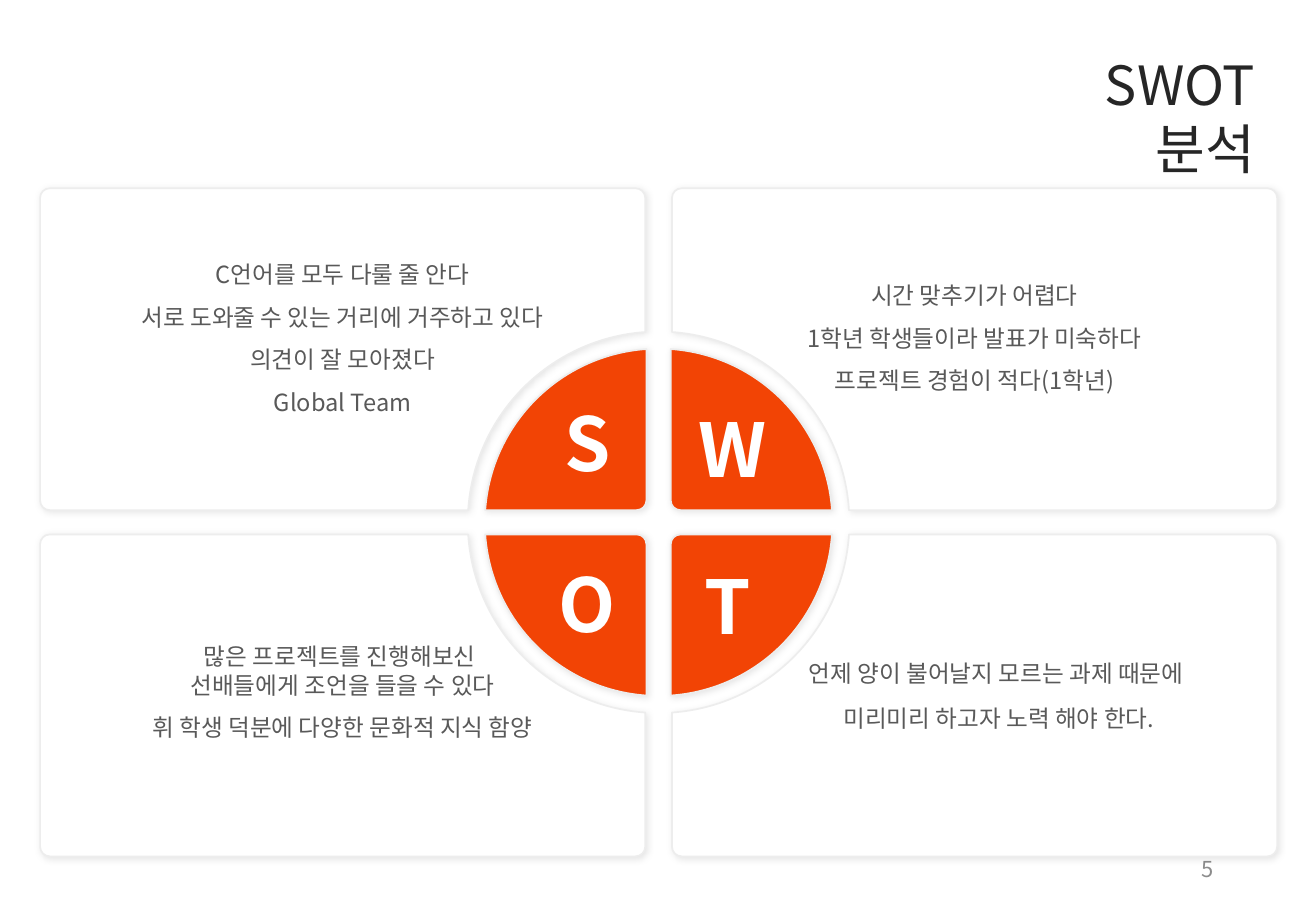
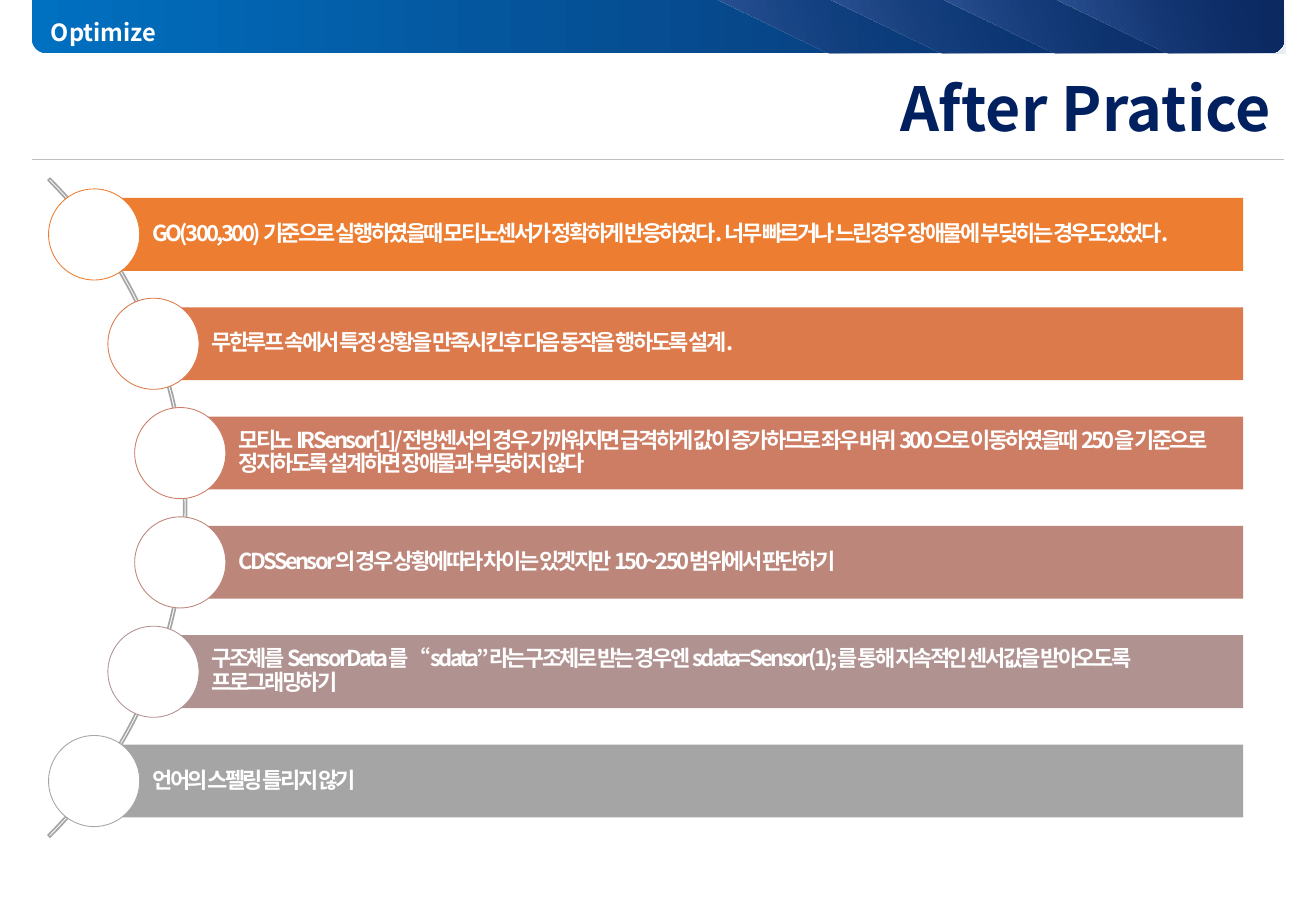
from math import acos, asin, cos, pi, sin, sqrt, tan

from lxml.etree import SubElement
from pptx import Presentation
from pptx.dml.color import RGBColor
from pptx.enum.shapes import MSO_CONNECTOR, MSO_SHAPE
from pptx.enum.text import MSO_ANCHOR, MSO_AUTO_SIZE, PP_ALIGN
from pptx.oxml.ns import qn
from pptx.util import Inches, Pt

FONT = "Noto Sans CJK KR"
WHITE = RGBColor(0xFF, 0xFF, 0xFF)
BLACK = RGBColor(0x26, 0x26, 0x26)
BODY = RGBColor(0x59, 0x59, 0x59)
PAGE = RGBColor(0x8C, 0x8C, 0x8C)
EDGE = RGBColor(0xED, 0xED, 0xED)
ORANGE = RGBColor(0xF2, 0x44, 0x05)
NAVY = RGBColor(0x00, 0x20, 0x60)
BAND_START = RGBColor(0x00, 0x70, 0xC0)
BAND_END = RGBColor(0x0C, 0x29, 0x62)
RAY = RGBColor(0x2F, 0x55, 0x97)
RULE = RGBColor(0xBF, 0xBF, 0xBF)
GRAY = RGBColor(0xA5, 0xA5, 0xA5)

WIDTH, HEIGHT = 10.83, 7.5

QUADRANTS = [
    dict(side=-1, level=-1, letter="S", letter_at=(4.56, 3.22, 0.55, 0.84),
         insets=(0.1, 0.05, 0.1, 0.35), after=0,
         lines=[("C언어를 모두 다룰 줄 안다", 1.5),
                ("서로 도와줄 수 있는 거리에 거주하고 있다", 1.5),
                ("의견이 잘 모아졌다", 1.5),
                ("Global Team", 1.5)]),
    dict(side=1, level=-1, letter="W", letter_at=(5.62, 3.27, 0.82, 0.84),
         insets=(0.1, 0.05, 0.1, 0.35), after=0,
         lines=[("시간 맞추기가 어렵다", 1.5),
                ("1학년 학생들이라 발표가 미숙하다", 1.5),
                ("프로젝트 경험이 적다(1학년)", 1.5)]),
    dict(side=-1, level=1, letter="O", letter_at=(4.49, 4.55, 0.68, 0.84),
         insets=(0.1, 0.29, 0.1, 0.35), after=0,
         lines=[("많은 프로젝트를 진행해보신 ", 1),
                ("선배들에게 조언을 들을 수 있다", 1),
                ("휘 학생 덕분에 다양한 문화적 지식 함양", 1.5)]),
    dict(side=1, level=1, letter="T", letter_at=(5.71, 4.56, 0.56, 0.84),
         insets=(0.5, 0.05, 0.1, 0.05), after=10,
         lines=[("언제 양이 불어날지 모르는 과제 때문에 ", 1),
                ("미리미리 하고자 노력 해야 한다.", 1)]),
]

LESSONS = [
    ("GO(300,300) 기준으로 실행하였을때 모티노센서가 정확하게 반응하였다. "
     "너무 빠르거나 느린경우 장애물에 부딪히는 경우도있었다.", RGBColor(0xED, 0x7D, 0x31)),
    ("무한루프 속에서 특정 상황을 만족시킨후 다음 동작을 행하도록 설계.",
     RGBColor(0xDC, 0x7A, 0x4B)),
    ("모티노 IRSensor[1]/전방센서의 경우 가까워지면 급격하게 값이 증가하므로 좌우 바퀴 "
     "300으로 이동하였을때 250을 기준으로 정지하도록 설계하면 장애물과 부딪히지 않다",
     RGBColor(0xCC, 0x7D, 0x64)),
    ("CDSSensor의 경우 상황에따라 차이는 있겟지만 150~250범위에서 판단하기",
     RGBColor(0xBD, 0x86, 0x7B)),
    ("구조체를 SensorData를 “sdata”라는구조체로 받는 경우엔 sdata=Sensor(1);를 통해 "
     "지속적인 센서값을 받아오도록 프로그래밍하기", RGBColor(0xB0, 0x93, 0x91)),
    ("언어의 스펠링 틀리지 않기", GRAY),
]


def box(left, top, width, height):
    return [Inches(v) for v in (left, top, width, height)]


def write(shape, lines, size, color, bold=False, align=PP_ALIGN.LEFT,
          anchor=MSO_ANCHOR.TOP, wrap=True, insets=(0.1, 0.05, 0.1, 0.05),
          after=0, tracking=None):
    frame = shape.text_frame
    frame.text = "\n".join(text for text, _ in lines)
    frame.auto_size = MSO_AUTO_SIZE.NONE
    frame.word_wrap = wrap
    frame.vertical_anchor = anchor
    (frame.margin_left, frame.margin_top,
     frame.margin_right, frame.margin_bottom) = [Inches(v) for v in insets]
    for paragraph, (_, spacing) in zip(frame.paragraphs, lines):
        paragraph.alignment = align
        paragraph.line_spacing = spacing
        paragraph.space_after = Pt(after)
        for run in paragraph.runs:
            run.font.size = Pt(size)
            run.font.bold = bold
            run.font.color.rgb = color
            run.font.name = FONT
            if tracking:
                run.font._element.set("spc", str(tracking))


def add_title(slide, text, place, size, color, **style):
    title = slide.shapes.title
    title.left, title.top, title.width, title.height = box(*place)
    write(title, [(text, 1)], size, color, align=PP_ALIGN.RIGHT, **style)


def add_label(slide, text, place, size, color, **style):
    write(slide.shapes.add_textbox(*box(*place)), [(text, 1)], size, color, **style)


def paint(shape, fill=None, line=None, weight=1):
    shape.shadow.inherit = False
    if fill is None:
        shape.fill.background()
    else:
        shape.fill.solid()
        shape.fill.fore_color.rgb = fill
    if line is None:
        shape.line.fill.background()
    else:
        shape.line.color.rgb = line
        shape.line.width = Pt(weight)


def paint_gradient(shape, start, end, angle):
    paint(shape)
    shape.fill.gradient()
    shape.fill.gradient_angle = angle
    for stop, color in zip(shape.fill.gradient_stops, (start, end)):
        stop.color.rgb = color


def add_soft_shadow(shape):
    effects = shape._element.spPr.find(qn("a:effectLst"))
    shadow = SubElement(effects, qn("a:outerShdw"), blurRad=str(Pt(4)), dist=str(Pt(1)),
                        dir="2700000", algn="tl", rotWithShape="0")
    color = SubElement(shadow, qn("a:srgbClr"), val="000000")
    SubElement(color, qn("a:alpha"), val="10000")


def add_outline(slide, points):
    (x, y), *others = [(Inches(px), Inches(py)) for px, py in points]
    builder = slide.shapes.build_freeform(x, y)
    builder.add_line_segments(others, close=True)
    return builder.convert_to_shape()


def arc(cx, cy, radius, start, end):
    reach = radius * 4 / 3 * tan((end - start) / 4)
    x0, y0 = cx + radius * cos(start), cy + radius * sin(start)
    x1, y1 = cx + radius * cos(end), cy + radius * sin(end)
    return [(x0, y0), (x0 - reach * sin(start), y0 + reach * cos(start)),
            (x1 + reach * sin(end), y1 - reach * cos(end)), (x1, y1)]


def add_curved_outline(slide, arcs):
    shape = add_outline(slide, [point for curve in arcs for point in curve])
    segments = shape._element.spPr.findall(".//" + qn("a:lnTo"))
    for first in range(0, len(segments), 4):
        curve, *rest = segments[first:first + 3]
        curve.tag = qn("a:cubicBezTo")
        for segment in rest:
            curve.append(segment[0])
            segment.getparent().remove(segment)
    return shape


def build_swot(slide):
    center_x, center_y = 5.42, 4.3
    far_x, far_y, corner = 5.09, 2.75, 0.08
    petal_gap, petal_radius = 0.1, 1.43
    panel_gap, cutout_radius = 0.11, 1.57

    def sweep(radius, gap):
        return arc(0, 0, radius, asin(0.1 / radius), acos(gap / radius))

    petal_near, panel_near = petal_gap + corner, panel_gap + corner
    right, bottom, top = far_x - corner, far_y - corner, 0.1 + corner
    petal = [sweep(petal_radius, petal_gap),
             arc(petal_near, petal_near, corner, pi, 1.5 * pi)]
    panel = [sweep(cutout_radius, panel_gap),
             arc(panel_near, bottom, corner, pi, pi / 2),
             arc(right, bottom, corner, pi / 2, 0),
             arc(right, top, corner, 0, -pi / 2)]

    def add_part(quadrant, outline, fill):
        shape = add_curved_outline(slide, [
            [(center_x + quadrant["side"] * x, center_y + quadrant["level"] * y)
             for x, y in curve] for curve in outline])
        paint(shape, fill, EDGE)
        add_soft_shadow(shape)
        return shape

    for quadrant in QUADRANTS:
        add_part(quadrant, petal, ORANGE)
    add_label(slide, "5", (7.65, 6.95, 2.44, 0.4), 13, PAGE,
              align=PP_ALIGN.RIGHT, anchor=MSO_ANCHOR.MIDDLE)
    for quadrant in QUADRANTS:
        write(add_part(quadrant, panel, WHITE), quadrant["lines"], 14, BODY,
              align=PP_ALIGN.CENTER, anchor=MSO_ANCHOR.MIDDLE,
              insets=quadrant["insets"], after=quadrant["after"])
    for quadrant in QUADRANTS:
        add_label(slide, quadrant["letter"], quadrant["letter_at"], 44, WHITE,
                  bold=True, align=PP_ALIGN.CENTER, wrap=False)
    add_title(slide, "SWOT 분석", (8.04, 0.37, 2.39, 0.64), 32, BLACK,
              insets=(0.9, 0.05, 0.1, 0.05))


def add_band(slide, heading):
    left, right, height = 0.26, 10.57, 0.44
    band = slide.shapes.add_shape(MSO_SHAPE.ROUND_2_SAME_RECTANGLE,
                                  *box(left, 0, right - left, height))
    band.adjustments[0], band.adjustments[1] = 0, 0.28
    paint_gradient(band, BAND_START, BAND_END, 0)
    ray_width, ray_step = 1.89, 0.93
    for i in range(4):
        x = 5.9 + i * ray_step
        ray = add_outline(slide, [(x, 0), (x + ray_width, 0),
                                  (x + ray_width, height), (x + ray_step, height)])
        paint_gradient(ray, RAY, BAND_END, 20)
        end_color = ray._element.spPr.findall(".//" + qn("a:srgbClr"))[-1]
        SubElement(end_color, qn("a:alpha"), val="0")
    rule = slide.shapes.add_connector(MSO_CONNECTOR.STRAIGHT, Inches(left), Inches(1.31),
                                      Inches(right), Inches(1.31))
    rule.line.color.rgb = RULE
    rule.line.width = Pt(0.5)
    SubElement(rule._element.spPr, qn("a:effectLst"))
    add_label(slide, heading, (0.32, 0.11, 6.93, 0.31), 14, WHITE, bold=True,
              anchor=MSO_ANCHOR.MIDDLE)


def build_lessons(slide):
    add_band(slide, "Optimize")
    add_title(slide, "After Pratice", (0.28, 0.54, 10.28, 0.69), 36, NAVY,
              bold=True, anchor=MSO_ANCHOR.MIDDLE)
    hub_x, hub_y, arc_size, track = -2.3, 4.18, 7.67, 3.81
    pitch, bar_height, bar_right, dot = 0.9, 0.6, 10.23, 0.75
    curve = slide.shapes.add_shape(
        MSO_SHAPE.BLOCK_ARC,
        *box(hub_x - arc_size / 2, hub_y - arc_size / 2, arc_size, arc_size))
    for i, value in enumerate((189, 27, 0.003)):
        curve.adjustments[i] = value
    paint(curve, line=GRAY)
    for i, (lesson, color) in enumerate(LESSONS):
        offset = (i - (len(LESSONS) - 1) / 2) * pitch
        x, y = hub_x + sqrt(track ** 2 - offset ** 2), hub_y + offset
        bar = slide.shapes.add_shape(
            MSO_SHAPE.RECTANGLE, *box(x, y - bar_height / 2, bar_right - x, bar_height))
        paint(bar, color)
        write(bar, [(lesson, 0.9)], 13, WHITE, bold=True, anchor=MSO_ANCHOR.MIDDLE,
              insets=(0.48, 0.04, 0.1, 0.04), tracking=-150)
        bullet = slide.shapes.add_shape(MSO_SHAPE.OVAL, *box(x - dot / 2, y - dot / 2, dot, dot))
        paint(bullet, WHITE, color, 0.5)


def main():
    deck = Presentation()
    deck.slide_width, deck.slide_height = Inches(WIDTH), Inches(HEIGHT)
    title_only = deck.slide_layouts[5]
    for build in (build_swot, build_lessons):
        build(deck.slides.add_slide(title_only))
    deck.save("out.pptx")


if __name__ == "__main__":
    main()
